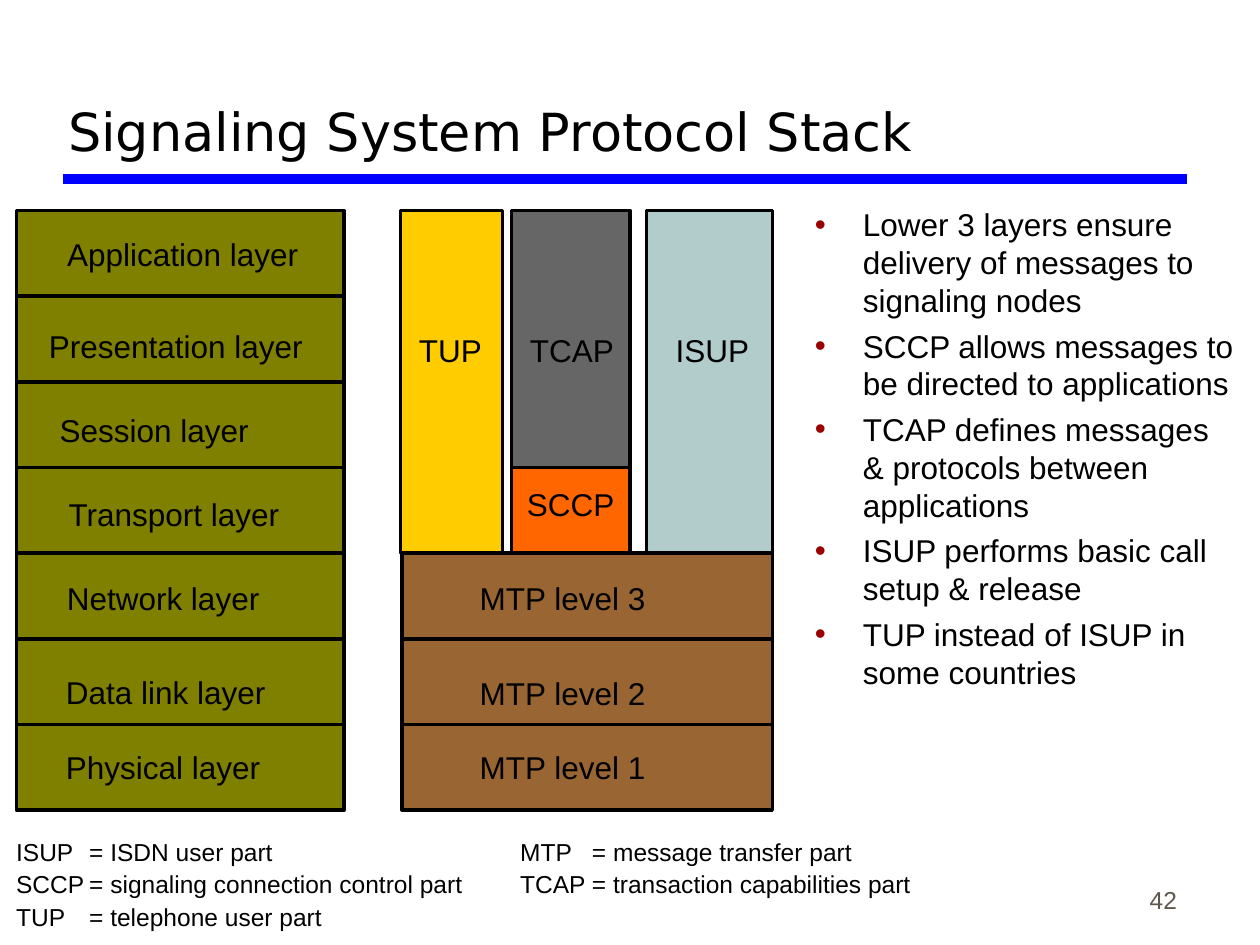
import dataclasses

import pptx
import pptx.dml.color
import pptx.enum.shapes
import pptx.enum.text
import pptx.oxml.ns
import pptx.util
from pptx.util import Inches
import lxml.etree

ALIGN = pptx.enum.text.PP_ALIGN
ANCHOR = pptx.enum.text.MSO_ANCHOR
RECTANGLE = pptx.enum.shapes.MSO_SHAPE.RECTANGLE


@dataclasses.dataclass(frozen=True)
class Theme:
    font: str = "Arial"
    title_font: str = "DejaVu Sans"
    title_size: int = 30
    body_size: int = 18
    small_size: int = 14
    ink: str = "000000"
    rule: str = "0000FF"
    bullet: str = "990000"
    number: str = "5E574E"
    osi: str = "808000"
    mtp: str = "996633"
    tup: str = "FFCC00"
    tcap: str = "666666"
    isup: str = "B1CCCB"
    sccp: str = "FF6600"


def rgb(value):
    return pptx.dml.color.RGBColor.from_string(value)


def add_xml(parent, tag, **attributes):
    return lxml.etree.SubElement(parent, pptx.oxml.ns.qn(tag), attributes)


class SlideBuilder:
    def __init__(self, slide, theme):
        self.slide = slide
        self.theme = theme

    def add_text(self, para, text, size, color=None, font=None):
        run = para.add_run()
        run.text = text
        run.font.size = pptx.util.Pt(size)
        run.font.name = font or self.theme.font
        run.font.color.rgb = rgb(color or self.theme.ink)

    def title(self, text, left, top, width, height):
        box = self.slide.shapes.title
        box.left, box.top = Inches(left), Inches(top)
        box.width, box.height = Inches(width), Inches(height)
        frame = box.text_frame
        frame.vertical_anchor = ANCHOR.BOTTOM
        para = frame.paragraphs[0]
        para.alignment = ALIGN.LEFT
        self.add_text(para, text, self.theme.title_size, font=self.theme.title_font)

    def rule(self, left, right, y, weight):
        line = self.slide.shapes.add_connector(
            pptx.enum.shapes.MSO_CONNECTOR.STRAIGHT,
            Inches(left), Inches(y), Inches(right), Inches(y))
        line.line.color.rgb = rgb(self.theme.rule)
        line.line.width = pptx.util.Pt(weight)
        add_xml(line._element.spPr, "a:effectLst")

    def block(self, left, top, width, height, fill):
        shape = self.slide.shapes.add_shape(
            RECTANGLE, Inches(left), Inches(top), Inches(width), Inches(height))
        shape.shadow.inherit = False
        shape.fill.solid()
        shape.fill.fore_color.rgb = rgb(fill)
        shape.line.color.rgb = rgb(self.theme.ink)
        shape.line.width = pptx.util.Pt(2)

    def text_frame(self, left, top, width, height, fill=None):
        box = self.slide.shapes.add_textbox(
            Inches(left), Inches(top), Inches(width), Inches(height))
        if fill:
            box.fill.solid()
            box.fill.fore_color.rgb = rgb(fill)
        box.text_frame.word_wrap = True
        return box.text_frame

    def label(self, text, left, top, width, fill=None):
        para = self.text_frame(left, top, width, 0.4, fill).paragraphs[0]
        para.alignment = ALIGN.CENTER
        self.add_text(para, text, self.theme.body_size)

    def paragraphs(self, frame, lines, space_before):
        for index, text in enumerate(lines):
            para = frame.add_paragraph() if index else frame.paragraphs[0]
            if index:
                para.space_before = pptx.util.Pt(space_before)
            yield para, text

    def bullets(self, items, left, top, width, height):
        frame = self.text_frame(left, top, width, height)
        for para, text in self.paragraphs(frame, items, 4.5):
            props = para._p.get_or_add_pPr()
            props.set("marL", str(Inches(0.38)))
            props.set("indent", str(-Inches(0.38)))
            color = add_xml(props, "a:buClr")
            add_xml(color, "a:srgbClr", val=self.theme.bullet)
            add_xml(props, "a:buFont", typeface=self.theme.font)
            add_xml(props, "a:buChar", char="•")
            self.add_text(para, text, self.theme.body_size)

    def legend(self, rows, stops, left, top, width, height):
        frame = self.text_frame(left, top, width, height)
        for para, cells in self.paragraphs(frame, rows, 1.8):
            tabs = add_xml(para._p.get_or_add_pPr(), "a:tabLst")
            for stop in stops:
                add_xml(tabs, "a:tab", pos=str(Inches(stop)), algn="l")
            self.add_text(para, "\t".join(cells), self.theme.small_size)

    def page_number(self, text, left, top, width, height):
        frame = self.text_frame(left, top, width, height)
        frame.vertical_anchor = ANCHOR.BOTTOM
        para = frame.paragraphs[0]
        para.alignment = ALIGN.RIGHT
        self.add_text(para, text, self.theme.small_size, self.theme.number)


def main():
    theme = Theme()
    deck = pptx.Presentation()
    deck.slide_width, deck.slide_height = Inches(10), Inches(7.5)
    page = SlideBuilder(deck.slides.add_slide(deck.slide_layouts[5]), theme)

    # Heading
    page.rule(0.5, 9.42, 1.42, 6)
    page.title("Signaling System Protocol Stack", 0.44, 0.17, 8.97, 1.17)

    # Shared row grid of the two stacks
    row_height = 0.68
    row_tops = [1.67 + row_height * row for row in range(7)]

    # Seven reference layers: label, left, top, width
    for top in row_tops:
        page.block(0.13, top, 2.6, row_height, theme.osi)
    for text, left, top, width in [
        ("Application layer", 0.29, 1.82, 2.32),
        ("Presentation layer", 0.19, 2.55, 2.41),
        ("Session layer", 0.31, 3.21, 1.83),
        ("Transport layer", 0.24, 3.88, 2.28),
        ("Network layer", 0.38, 4.55, 1.83),
        ("Data link layer", 0.4, 5.29, 1.83),
        ("Physical layer", 0.38, 5.89, 1.83),
    ]:
        page.label(text, left, top, width, theme.osi)

    # User parts: left, first row, width, rows spanned, fill
    for left, row, width, span, fill in [
        (3.18, 0, 0.81, 4, theme.tup),
        (5.13, 0, 1, 4, theme.isup),
        (4.06, 0, 0.94, 3, theme.tcap),
        (4.06, 3, 0.94, 1, theme.sccp),
    ]:
        page.block(left, row_tops[row], width, span * row_height, fill)
    for text, left, top, width in [
        ("TUP", 3.08, 2.58, 0.99),
        ("TCAP", 3.99, 2.58, 1.1),
        ("ISUP", 5.09, 2.58, 1.13),
        ("SCCP", 3.98, 3.8, 1.1),
    ]:
        page.label(text, left, top, width)

    # Message transfer part
    for top in row_tops[4:]:
        page.block(3.19, top, 2.94, row_height, theme.mtp)
    for level, top in [(3, 4.55), (2, 5.3), (1, 5.89)]:
        page.label(f"MTP level {level}", 3.43, top, 2.07, theme.mtp)

    # Remarks
    page.bullets([
        "Lower 3 layers ensure delivery of messages to signaling nodes",
        "SCCP allows messages to be directed to applications",
        "TCAP defines messages & protocols between applications",
        "ISUP performs basic call setup & release",
        "TUP instead of ISUP in some countries",
    ], 6.37, 1.58, 3.53, 5.12)

    # Abbreviations and page number
    page.legend([
        ("ISUP", "= ISDN user part", "MTP", "= message transfer part"),
        ("SCCP", "= signaling connection control part",
         "TCAP", "= transaction capabilities part"),
        ("TUP", "= telephone user part"),
    ], (0.58, 4, 4.57), 0.03, 6.59, 7.46, 0.85)
    page.page_number("42", 7.36, 6.81, 2.08, 0.5)

    deck.save("out.pptx")


if __name__ == "__main__":
    main()
